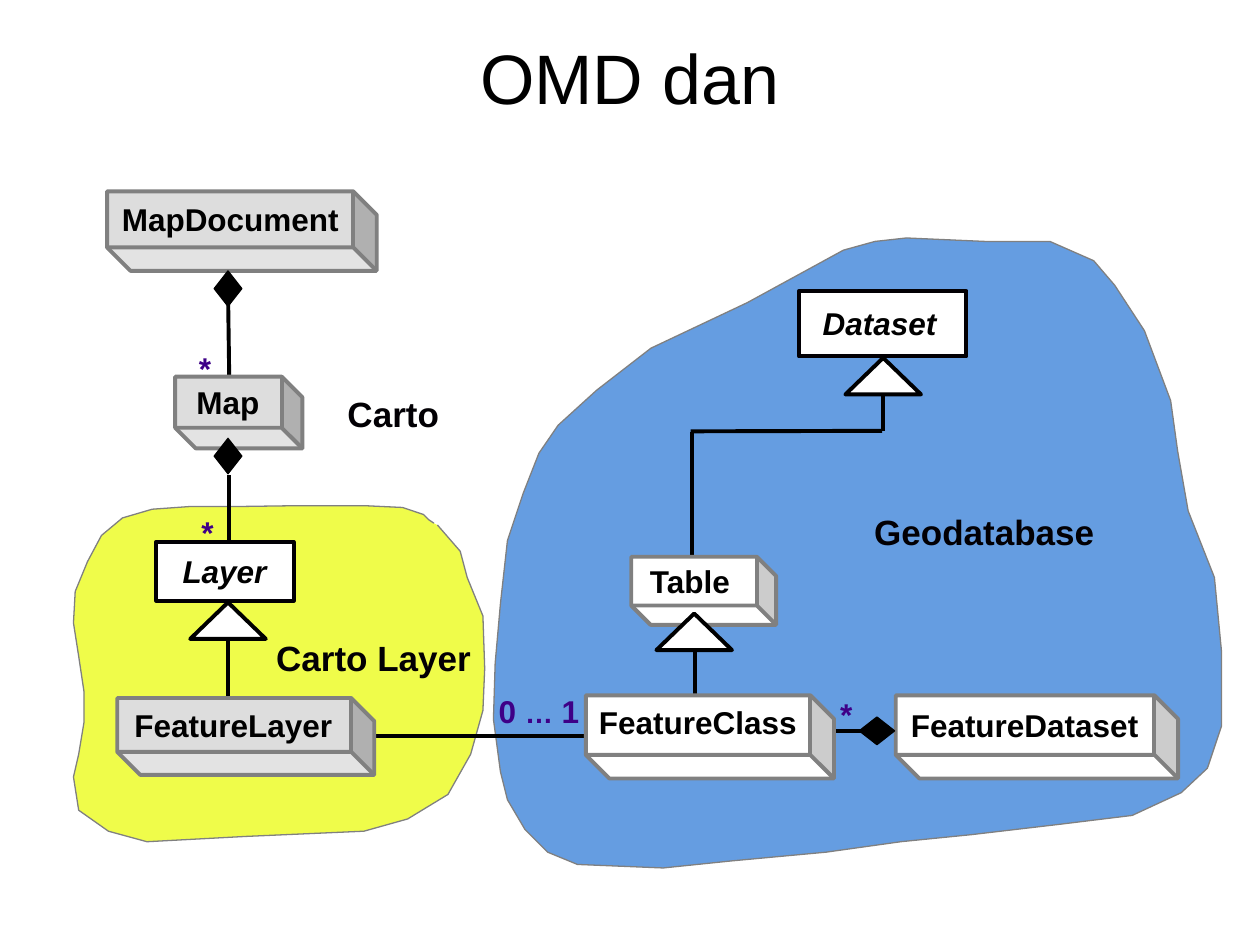
from pptx import Presentation
from pptx import util as u
from pptx.dml.color import RGBColor
from pptx.enum import shapes, text
from pptx.oxml import parse_xml
from pptx.oxml.ns import nsdecls, qn

FONT = "Arial"
BLACK, INK, PURPLE, WHITE = "000000", "020004", "3E0087", "FFFFFF"
GRAY, LIGHT, YELLOW, BLUE = "808080", "DDDDDD", "EFFC4A", "659DE1"
THICK, THIN = 2.25, 0.75
Kind = shapes.MSO_SHAPE

# Regions: fill, closed, outline points
REGIONS = [
    (YELLOW, False, [
        (248, 299), (245, 297), (242, 294), (230, 290), (209, 289), (168, 289), (133, 289.5),
        (108, 289.5), (87, 291), (70, 296), (58, 306), (50, 321), (43, 338), (42, 356),
        (45, 375), (48, 395), (48, 413), (45, 431), (42, 444), (45, 463), (62, 475),
        (84, 481), (140, 478), (208, 475), (233, 468), (256, 454), (269, 431), (276, 406),
        (277, 382), (276, 352), (267, 330), (263, 315), (250, 300)]),
    (BLUE, True, [
        (482, 143), (427, 173), (372, 199), (341, 223), (319, 243), (308, 259), (299, 282),
        (290, 309), (286, 345), (283, 379), (282, 411), (286, 441), (290, 457), (300, 474),
        (313, 487), (330, 494), (379, 496), (418, 492), (472, 487), (515, 481), (555, 477),
        (606, 471), (647, 466), (675, 453), (690, 439), (698, 415), (698, 372), (694, 330),
        (679, 292), (673, 258), (669, 229), (654, 189), (637, 163), (625, 149), (600, 138),
        (563, 138), (518, 136), (500, 138)]),
]

# Relations: x1, y1, x2, y2
RELATIONS = [
    (130.3, 165, 131, 216),        # MapDocument - Map
    (131, 271.4, 131, 309.6),      # Map - Layer
    (130.3, 362, 130.3, 399),      # Layer - FeatureLayer
    (504.5, 200, 504.5, 246.2),    # Dataset - Table, three parts
    (394.6, 246.5, 504, 246.2),
    (395.3, 247, 395.3, 322),
    (397.4, 369.4, 397.4, 401),    # Table - FeatureClass
    (468.7, 417.6, 494, 417.6),    # FeatureClass - FeatureDataset
    (209.5, 420.5, 334, 420.5),    # FeatureLayer - FeatureClass
]

# Classes: name, box (left, top, width, height), fill, cube depth, text box, alignment
CLASSES = [
    ("MapDocument", (61.2, 109.4, 154.1, 45.4), LIGHT, 0.295, (62.6, 110.9, 141, 42.5), "LEFT"),
    ("Map", (100.1, 215.3, 72.7, 41), LIGHT, 0.288, (105.1, 215.3, 66.2, 36.7), "LEFT"),
    ("FeatureLayer", (67, 398.9, 146.9, 43.9), LIGHT, 0.3, (69.8, 399.6, 158.4, 36.7), "LEFT"),
    ("Table", (360.7, 318.2, 82.8, 38.9), WHITE, 0.284, (364.3, 317.5, 66.2, 36.7), "LEFT"),
    ("FeatureClass", (334.8, 397.4, 141.8, 47.5), WHITE, 0.284, (334.8, 398.2, 128, 41), "CENTER"),
    ("FeatureDataset", (511.9, 397.4, 161.3, 47.5), WHITE, 0.284, (513.4, 399.6, 158.4, 36.7), "LEFT"),
]

# Abstract classes: name, box, text box
ABSTRACT_CLASSES = [
    ("Layer", (89.3, 309.6, 78.5, 33.8), (97.2, 311.8, 66.2, 36.7)),
    ("Dataset", (456.5, 166.3, 95.8, 37.4), (463, 169.9, 82.8, 30.2)),
]

INHERITANCE_TOPS = [(108.7, 344.2), (483.1, 204.5), (375.1, 350.6)]
TRIANGLE_SIZE = (43.2, 20.9)
DIAMONDS = [(120.2, 252.7, 270), (120.2, 157, 270), (491, 409.7, 180)]
DIAMOND_SIZE = (20.2, 15.8)

AREA_LABELS = [
    ("Carto", (191.5, 221, 112.3, 36.7), "LEFT"),
    ("Geodatabase", (492.5, 288, 158.4, 36.7), "LEFT"),
    ("Carto Layer", (149.8, 360, 127.4, 33.8), "CENTER"),
]
STARS = [(106.6, 195.8), (108, 289.4), (473, 393.8)]
STAR_SIZE = (18.7, 28.8)
OPTIONAL = [("0 ", 18), ("…", 16), (" 1", 18)]
OPTIONAL_BOX = (277.9, 391.7, 63.4, 28.8)


def color(value):
    return RGBColor.from_string(value)


def points(values):
    return [u.Pt(value) for value in values]


def style(shape, fill, line, width):
    shape.shadow.inherit = False
    shape.fill.solid()
    shape.fill.fore_color.rgb = color(fill)
    shape.line.color.rgb = color(line)
    shape.line.width = u.Pt(width)
    return shape


def add_box(slide, kind, box, fill, line=BLACK, width=THICK):
    return style(slide.shapes.add_shape(kind, *points(box)), fill, line, width)


def add_label(slide, runs, box, size=18, ink=BLACK, align="LEFT", anchor="TOP",
              bold=True, italic=False):
    frame = slide.shapes.add_textbox(*points(box)).text_frame
    frame.word_wrap = True
    frame.vertical_anchor = getattr(text.MSO_ANCHOR, anchor)
    paragraph = frame.paragraphs[0]
    paragraph.alignment = getattr(text.PP_ALIGN, align)
    for words, run_size in [(runs, size)] if isinstance(runs, str) else runs:
        run = paragraph.add_run()
        run.text = words
        formats = {"name": FONT, "size": u.Pt(run_size), "bold": bold, "italic": italic}
        for key, value in formats.items():
            setattr(run.font, key, value)
        run.font.color.rgb = color(ink)


def add_region(slide, fill, closed, outline):
    # Local units are tenths of a point
    vertices = [(round(x * 10), round(y * 10)) for x, y in outline]
    builder = slide.shapes.build_freeform(*vertices[0], scale=u.Pt(1) / 10)
    builder.add_line_segments(vertices[1:], close=closed)
    style(builder.convert_to_shape(), fill, GRAY, THIN)


def add_relation(slide, ends):
    line = slide.shapes.add_connector(shapes.MSO_CONNECTOR.STRAIGHT, *points(ends))
    line.line.color.rgb = color(BLACK)
    line.line.width = u.Pt(THICK)
    line._element.spPr.append(parse_xml(f"<a:effectLst {nsdecls('a')}/>"))


def main():
    presentation = Presentation()
    presentation.slide_width, presentation.slide_height = u.Pt(720), u.Pt(540)
    slide = presentation.slides.add_slide(presentation.slide_layouts[6])

    add_label(slide, "OMD dan", (36, 21.6, 648, 44.6), 40, align="CENTER",
              anchor="MIDDLE", bold=False)

    # Coloured regions and the lines over them
    for region in REGIONS:
        add_region(slide, *region)
    for ends in RELATIONS:
        add_relation(slide, ends)

    # Class boxes, with the cube's depth turned downwards
    for name, box, fill, depth, text_box, align in CLASSES:
        cube = add_box(slide, Kind.CUBE, box, fill, GRAY)
        cube.adjustments[0] = depth
        cube._element.spPr.find(qn("a:xfrm")).set("flipV", "1")
        add_label(slide, name, text_box, align=align)
    for name, box, text_box in ABSTRACT_CLASSES:
        add_box(slide, Kind.RECTANGLE, box, WHITE, INK)
        add_label(slide, name, text_box, italic=True)

    # Inheritance and composition marks
    for place in INHERITANCE_TOPS:
        add_box(slide, Kind.ISOSCELES_TRIANGLE, place + TRIANGLE_SIZE, WHITE)
    for left, top, rotation in DIAMONDS:
        diamond = add_box(slide, Kind.DIAMOND, (left, top) + DIAMOND_SIZE, BLACK, width=THIN)
        diamond.rotation = rotation

    # Area names and multiplicities
    for name, box, align in AREA_LABELS:
        add_label(slide, name, box, 20, INK, align)
    for place in STARS:
        add_label(slide, "*", place + STAR_SIZE, ink=PURPLE)
    add_label(slide, OPTIONAL, OPTIONAL_BOX, ink=PURPLE)

    presentation.save("out.pptx")


if __name__ == "__main__":
    main()
